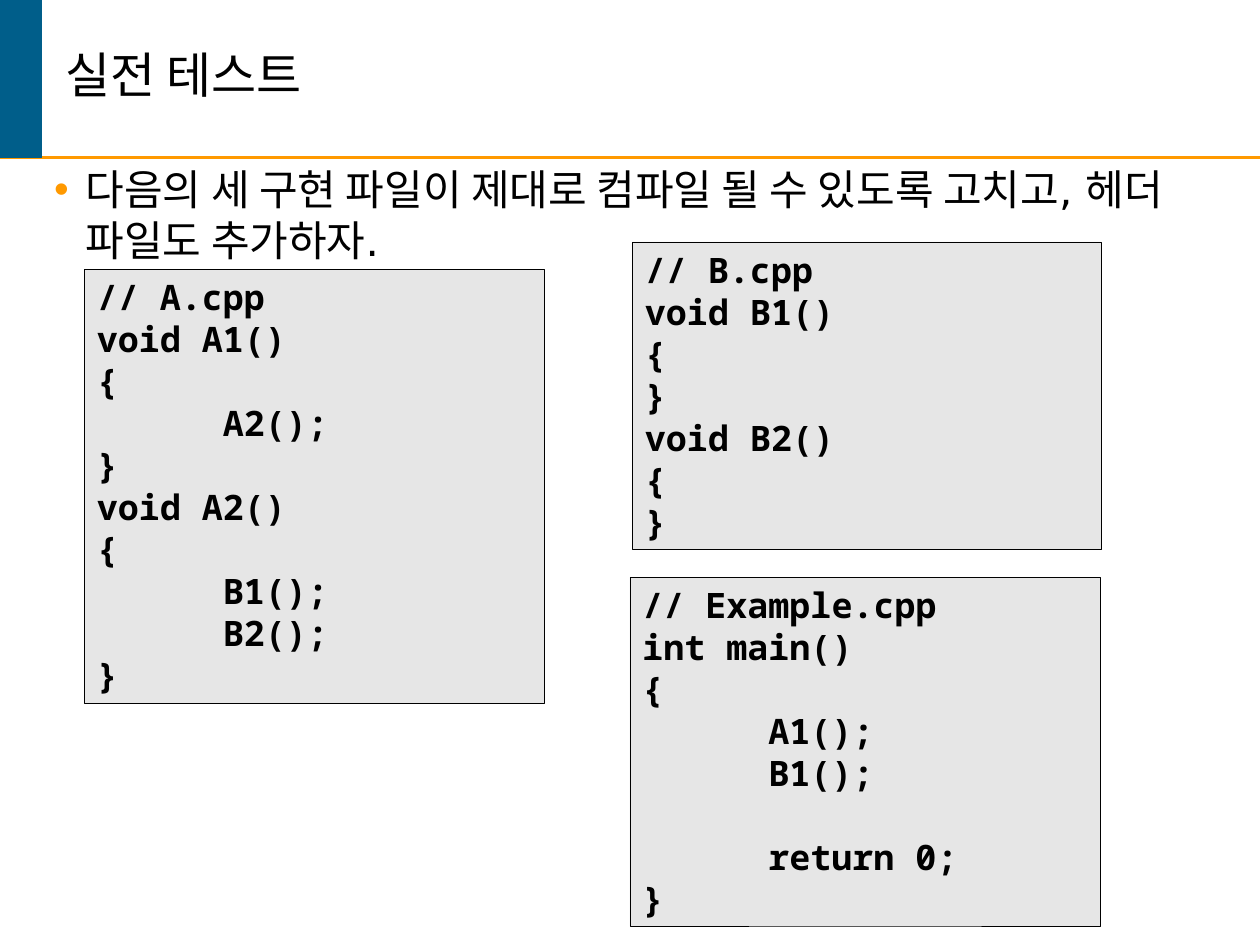
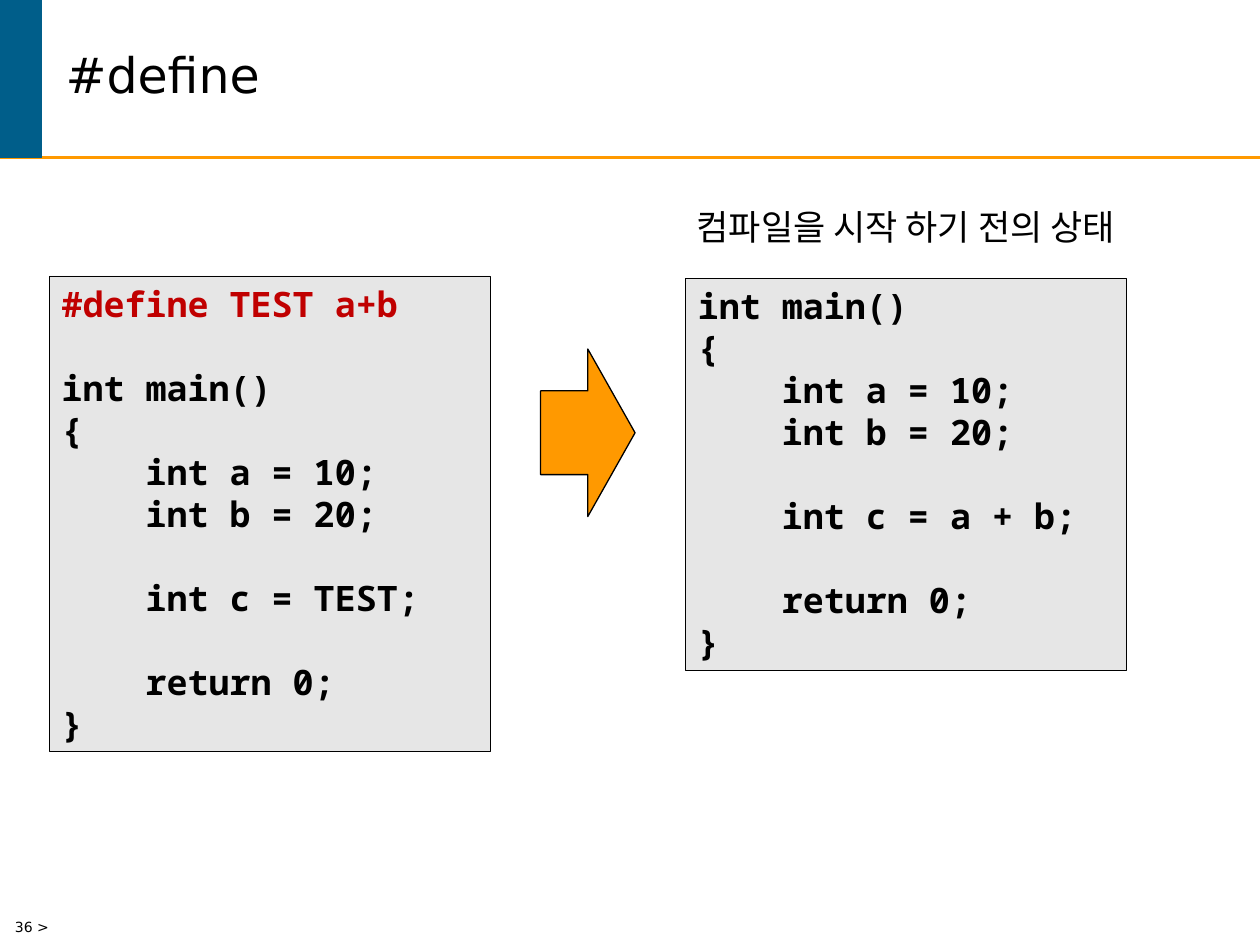
from lxml.etree import SubElement
from pptx import Presentation
from pptx.dml.color import RGBColor
from pptx.enum.shapes import MSO_CONNECTOR as Connector, MSO_SHAPE as Preset
from pptx.enum.text import MSO_ANCHOR as Anchor, MSO_AUTO_SIZE as AutoSize, PP_ALIGN as Align
from pptx.oxml.ns import qn
from pptx.util import Inches, Pt

BLUE, ORANGE, GRAY, RED, BLACK = "005E8A", "FF9900", "E6E6E6", "C00000", "000000"
SANS, MONO = "DejaVu Sans", "Noto Sans Mono"
TITLE_ONLY, TITLE_AND_BODY = 5, 1
BAND_WIDTH, BAND_HEIGHT = 0.33, 1.25
TITLE_BOX = (0.42, 0, 9.33, BAND_HEIGHT)
BODY_BOX = (BAND_WIDTH, BAND_HEIGHT, 9.33, 5.25)
CODE_LINE_HEIGHT, CODE_MARGIN = 0.334, 0.05

TITLE_FORMAT = {"name": SANS, "size": Pt(28), "bold": False}
BODY_FORMAT = {"name": SANS, "size": Pt(24)}
CAPTION_FORMAT = {"name": SANS, "size": Pt(20)}
FOOTER_FORMAT = {"name": SANS, "size": Pt(8)}
CODE_FORMAT = {"name": MONO, "size": Pt(20), "bold": True}

EXAMPLE_CODE = """// Example.cpp
int main()
{
\tA1();
\tB1();

\treturn 0;
}"""
A_CODE = """// A.cpp
void A1()
{
\tA2();
}
void A2()
{
\tB1();
\tB2();
}"""
B_CODE = """// B.cpp
void B1()
{
}
void B2()
{
}"""
MACRO_CODE = """#define TEST a+b

int main()
{
    int a = 10;
    int b = 20;

    int c = TEST;

    return 0;
}"""
EXPANDED_CODE = """int main()
{
    int a = 10;
    int b = 20;

    int c = a + b;

    return 0;
}"""

SLIDES = [
    {
        "title": "실전 테스트",
        "body": "다음의 세 구현 파일이 제대로 컴파일 될 수 있도록 고치고, 헤더 파일도 추가하자.",
        "code": [(5, 4.58, 3.73, EXAMPLE_CODE), (0.67, 2.14, 3.65, A_CODE), (5.02, 1.92, 3.72, B_CODE)],
    },
    {
        "title": "#define",
        "code": [(0.39, 2.19, 3.5, MACRO_CODE), (5.44, 2.21, 3.5, EXPANDED_CODE)],
        "arrow": (4.29, 2.77, 0.75, 1.33),
        "texts": [
            ((5.17, 1.58, 4.04, 0.44), "컴파일을 시작 하기 전의 상태", CAPTION_FORMAT, Align.CENTER),
            ((0.02, 7.24, 1.4, 0.26), "36 >", FOOTER_FORMAT, Align.LEFT),
        ],
    },
]


def color(value):
    return RGBColor.from_string(value)


def inches(values):
    return [Inches(value) for value in values]


def write(paragraph, text, values, text_color=BLACK, align=Align.LEFT):
    paragraph.alignment = align
    run = paragraph.add_run()
    run.text = text
    for name, value in values.items():
        setattr(run.font, name, value)
    run.font.color.rgb = color(text_color)


def fill_placeholder(placeholder, box, text, values, anchor):
    for name, value in zip(("left", "top", "width", "height"), inches(box)):
        setattr(placeholder, name, value)
    frame = placeholder.text_frame
    frame.auto_size = AutoSize.NONE
    frame.vertical_anchor = anchor
    paragraph = frame.paragraphs[0]
    write(paragraph, text, values)
    paragraph.space_before = Pt(0)
    return paragraph


def add_preset(slide, preset, box, fill, line, line_width):
    shape = slide.shapes.add_shape(preset, *inches(box))
    shape.shadow.inherit = False
    shape.fill.solid()
    shape.fill.fore_color.rgb = color(fill)
    shape.line.color.rgb = color(line)
    shape.line.width = Pt(line_width)
    return shape


def add_header(slide, title):
    rule = slide.shapes.add_connector(Connector.STRAIGHT, *inches((0, BAND_HEIGHT, 10, BAND_HEIGHT)))
    rule.line.color.rgb = color(ORANGE)
    rule.line.width = Pt(1.5)
    SubElement(rule._element.spPr, qn("a:effectLst"))
    add_preset(slide, Preset.RECTANGLE, (0, 0, BAND_WIDTH, BAND_HEIGHT), BLUE, BLUE, 1)
    paragraph = fill_placeholder(slide.shapes.title, TITLE_BOX, title, TITLE_FORMAT, Anchor.MIDDLE)
    paragraph.line_spacing = 0.85


def add_body(slide, text):
    paragraph = fill_placeholder(slide.placeholders[1], BODY_BOX, text, BODY_FORMAT, Anchor.TOP)
    properties = paragraph._p.get_or_add_pPr()
    properties.set("marL", str(Inches(0.25)))
    properties.set("indent", str(-Inches(0.25)))
    bullet_color = SubElement(properties, qn("a:buClr"))
    SubElement(bullet_color, qn("a:srgbClr"), val=ORANGE)
    SubElement(properties, qn("a:buChar"), char="•")


def add_code(slide, left, top, width, code):
    lines = code.split("\n")
    height = round(len(lines) * CODE_LINE_HEIGHT + 2 * CODE_MARGIN, 2)
    shape = add_preset(slide, Preset.RECTANGLE, (left, top, width, height), GRAY, BLACK, 0.25)
    frame = shape.text_frame
    frame.word_wrap = True
    frame.auto_size = AutoSize.SHAPE_TO_FIT_TEXT
    frame.vertical_anchor = Anchor.TOP
    for index, line in enumerate(lines):
        paragraph = frame.add_paragraph() if index else frame.paragraphs[0]
        if line:
            write(paragraph, line, CODE_FORMAT, RED if line.startswith("#") else BLACK)
        else:
            end = SubElement(paragraph._p, qn("a:endParaRPr"), sz="2000", b="1")
            SubElement(end, qn("a:latin"), typeface=MONO)
        if line.startswith("\t"):
            tabs = SubElement(paragraph._p.get_or_add_pPr(), qn("a:tabLst"))
            SubElement(tabs, qn("a:tab"), pos=str(Inches(1)), algn="l")


def add_text(slide, box, text, values, align):
    frame = slide.shapes.add_textbox(*inches(box)).text_frame
    frame.word_wrap = True
    write(frame.paragraphs[0], text, values, align=align)


def build_slide(presentation, content):
    layout = TITLE_AND_BODY if "body" in content else TITLE_ONLY
    slide = presentation.slides.add_slide(presentation.slide_layouts[layout])
    add_header(slide, content["title"])
    if "body" in content:
        add_body(slide, content["body"])
    for block in content["code"]:
        add_code(slide, *block)
    if "arrow" in content:
        add_preset(slide, Preset.RIGHT_ARROW, content["arrow"], ORANGE, BLACK, 0.75)
    for text in content.get("texts", []):
        add_text(slide, *text)


def main():
    presentation = Presentation()
    presentation.slide_width, presentation.slide_height = inches((10, 7.5))
    for content in SLIDES:
        build_slide(presentation, content)
    presentation.save("out.pptx")


if __name__ == "__main__":
    main()
